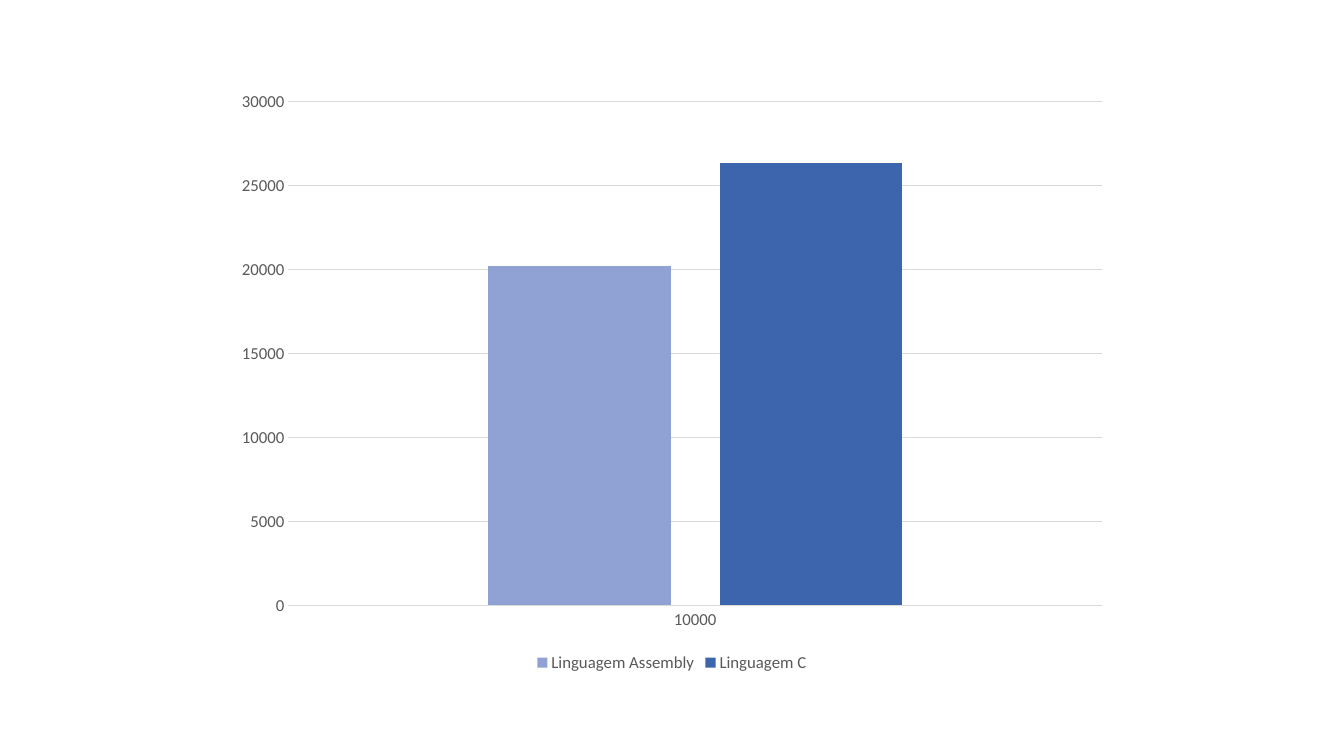
from dataclasses import dataclass

from pptx import Presentation
from pptx.chart.axis import CategoryAxis, ValueAxis
from pptx.chart.data import CategoryChartData
from pptx.dml.color import RGBColor
from pptx.dml.line import LineFormat
from pptx.enum.chart import XL_CHART_TYPE, XL_LEGEND_POSITION, XL_TICK_MARK
from pptx.text.text import Font
from pptx.util import Pt

COLUMN_CLUSTERED = XL_CHART_TYPE.COLUMN_CLUSTERED
LEGEND_BOTTOM = XL_LEGEND_POSITION.BOTTOM
NO_TICK = XL_TICK_MARK.NONE
BLANK_LAYOUT = 6
COLORS = {"assembly": "90A2D3", "c": "3C65AE", "text": "595959", "grid": "D9D9D9"}


@dataclass(frozen=True)
class Language:
    """A language with its measured value and bar colour."""

    name: str
    value: int
    color: str


LANGUAGES = [
    Language("Linguagem Assembly", 20200, "assembly"),
    Language("Linguagem C", 26300, "c"),
]


def color(name: str) -> RGBColor:
    """Return a palette colour by name."""
    return RGBColor.from_string(COLORS[name])


def format_font(font: Font) -> None:
    """Apply the chart's text style."""
    font.name = "Calibri"
    font.size = Pt(12)
    font.color.rgb = color("text")


def format_line(line: LineFormat) -> None:
    """Apply the thin grey line style."""
    line.width = Pt(0.75)
    line.color.rgb = color("grid")


def format_axis(axis: CategoryAxis | ValueAxis) -> None:
    """Remove tick marks and style the labels of an axis."""
    axis.major_tick_mark = NO_TICK
    axis.minor_tick_mark = NO_TICK
    format_font(axis.tick_labels.font)


def main() -> None:
    """Build the language comparison slide."""
    presentation = Presentation()
    presentation.slide_width = Pt(960)
    presentation.slide_height = Pt(540)
    slide = presentation.slides.add_slide(presentation.slide_layouts[BLANK_LAYOUT])

    data = CategoryChartData()
    data.categories = ["10000"]
    for language in LANGUAGES:
        data.add_series(language.name, [language.value])
    chart = slide.shapes.add_chart(
        COLUMN_CLUSTERED, Pt(160), Pt(56.67), Pt(640), Pt(426.67), data
    ).chart
    chart.has_title = False
    format_font(chart.font)

    plot = chart.plots[0]
    plot.vary_by_categories = False
    plot.gap_width = 219
    plot.overlap = -27
    for series, language in zip(plot.series, LANGUAGES):
        series.format.fill.solid()
        series.format.fill.fore_color.rgb = color(language.color)

    for axis in (chart.category_axis, chart.value_axis):
        format_axis(axis)
    format_line(chart.category_axis.format.line)
    value_axis = chart.value_axis
    value_axis.minimum_scale = 0
    value_axis.maximum_scale = 30000
    value_axis.major_unit = 5000
    value_axis.format.line.fill.background()
    format_line(value_axis.major_gridlines.format.line)

    chart.has_legend = True
    chart.legend.position = LEGEND_BOTTOM
    chart.legend.include_in_layout = False
    format_font(chart.legend.font)

    presentation.save("out.pptx")


if __name__ == "__main__":
    main()
